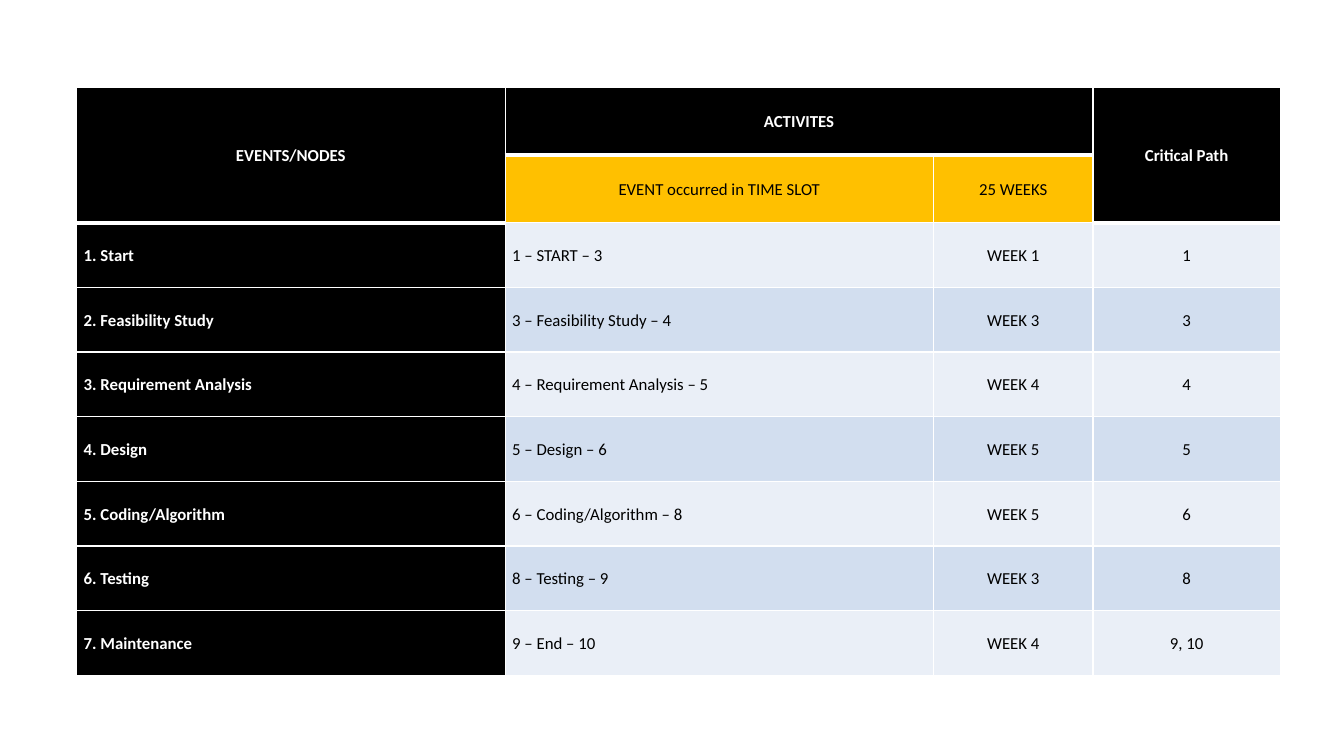
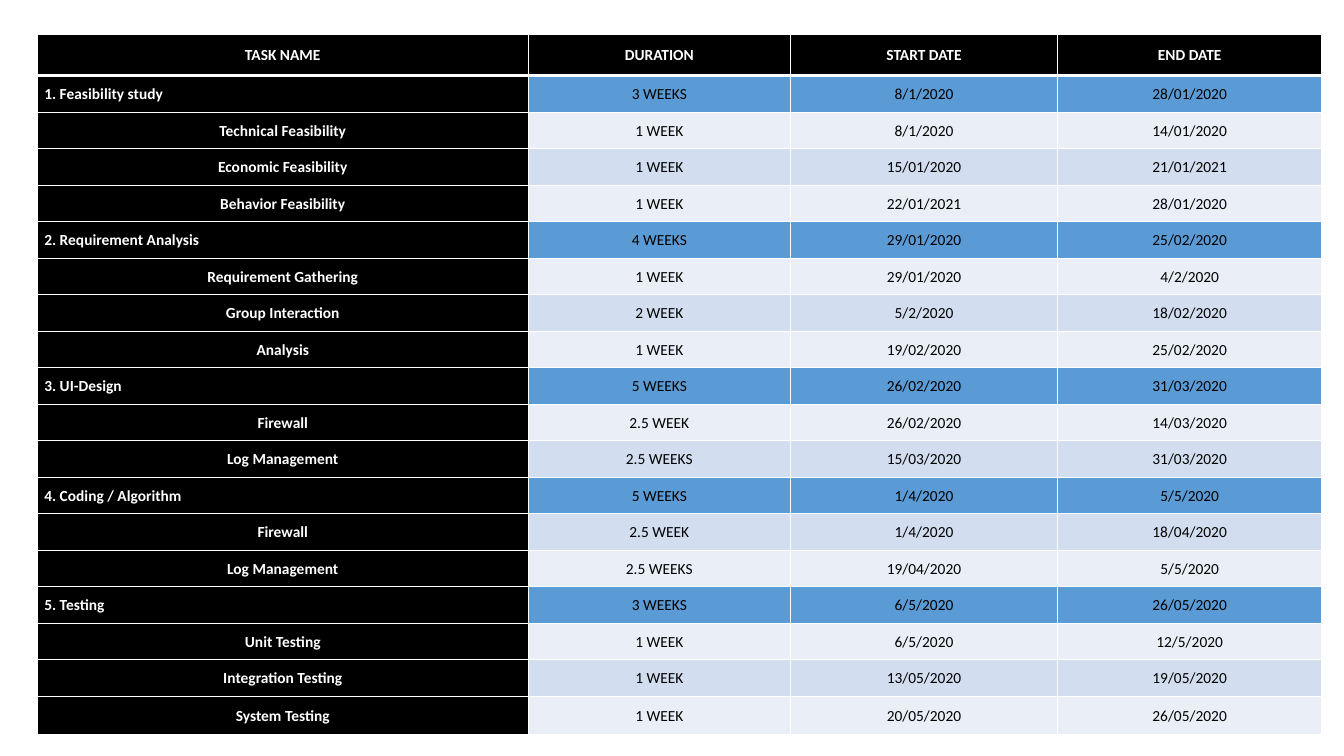
from lxml import etree
from pptx import Presentation
from pptx import util as u
from pptx.dml.color import RGBColor
from pptx.enum import text
from pptx.oxml import ns

PX = 9144  # 100 px to the inch
FONT = "Calibri"
COLORS = {
    "white": "FFFFFF",
    "black": "000000",
    "slot": "FFC000",
    "phase": "5B9BD5",
    "light": "EAEFF7",
    "dark": "D2DEEF",
}


def set_borders(cell, top, bottom):
    """Draw white cell borders; top and bottom are widths in points."""
    props = cell._tc.get_or_add_tcPr()
    for side, width in (("L", 1), ("R", 1), ("T", top), ("B", bottom)):
        line = etree.SubElement(props, ns.qn(f"a:ln{side}"), w=str(u.Pt(width)))
        fill = etree.SubElement(line, ns.qn("a:solidFill"))
        etree.SubElement(fill, ns.qn("a:srgbClr"), val=COLORS["white"])


def add_schedule(page, rows, left, top, widths, heights, size, head_rows=1, merges=()):
    frame = page.shapes.add_table(
        len(rows), len(widths), left * PX, top * PX,
        sum(widths) * PX, round(sum(heights) * PX))
    table = frame.table
    table.first_row = table.horz_banding = False
    for column, width in zip(table.columns, widths):
        column.width = width * PX
    for row, height in zip(table.rows, heights):
        row.height = round(height * PX)

    for r, values in enumerate(rows):
        is_phase = head_rows == 1 and ". " in values[0]
        for c, value in enumerate(values):
            is_slot = 0 < r < head_rows and 0 < c < len(widths) - 1
            is_heading = r < head_rows and not is_slot
            below_heading = r == 1 if head_rows == 1 or 0 < c < len(widths) - 1 else r == head_rows
            on_black = is_heading or c == 0
            if on_black:
                fill = "black"
            elif is_slot:
                fill = "slot"
            elif is_phase:
                fill = "phase"
            else:
                fill = "dark" if r % 2 else "light"

            cell = table.cell(r, c)
            set_borders(cell, 3 if below_heading else 1, 3 if is_heading else 1)
            cell.fill.solid()
            cell.fill.fore_color.rgb = RGBColor.from_string(COLORS[fill])
            cell.vertical_anchor = text.MSO_ANCHOR.MIDDLE
            cell.margin_left = cell.margin_right = 7 * PX
            cell.margin_top = cell.margin_bottom = 0
            cell.text_frame.text = value
            para = cell.text_frame.paragraphs[0]
            para.line_spacing = 1.07
            is_item = ". " in value or " – " in value
            para.alignment = text.PP_ALIGN.LEFT if is_item else text.PP_ALIGN.CENTER
            for span in para.runs:
                span.font.name = FONT
                span.font.size = u.Pt(size)
                span.font.bold = on_black
                span.font.color.rgb = RGBColor.from_string(
                    COLORS["white" if on_black else "black"])

    for first, last in merges:
        table.cell(*first).merge(table.cell(*last))


deck = Presentation()
deck.slide_width = u.Inches(13.33)
deck.slide_height = u.Inches(7.5)
blank = deck.slide_layouts[6]

EVENTS = [
    ("EVENTS/NODES", "ACTIVITES", "", "Critical Path"),
    ("", "EVENT occurred in TIME SLOT", "25 WEEKS", ""),
    ("1. Start", "1 – START – 3", "WEEK 1", "1"),
    ("2. Feasibility Study", "3 – Feasibility Study – 4", "WEEK 3", "3"),
    ("3. Requirement Analysis", "4 – Requirement Analysis – 5", "WEEK 4", "4"),
    ("4. Design", "5 – Design – 6", "WEEK 5", "5"),
    ("5. Coding/Algorithm", "6 – Coding/Algorithm – 8", "WEEK 5", "6"),
    ("6. Testing", "8 – Testing – 9", "WEEK 3", "8"),
    ("7. Maintenance", "9 – End – 10", "WEEK 4", "9, 10"),
]
add_schedule(
    deck.slides.add_slide(blank), EVENTS, 76, 87,
    widths=[425, 425, 158, 186], heights=[67] * 2 + [449 / 7] * 7, size=12, head_rows=2,
    merges=[((0, 0), (1, 0)), ((0, 1), (0, 2)), ((0, 3), (1, 3))])

TASKS = [
    ("TASK NAME", "DURATION", "START DATE", "END DATE"),
    ("1. Feasibility study", "3 WEEKS", "8/1/2020", "28/01/2020"),
    ("Technical Feasibility", "1 WEEK", "8/1/2020", "14/01/2020"),
    ("Economic Feasibility", "1 WEEK", "15/01/2020", "21/01/2021"),
    ("Behavior Feasibility", "1 WEEK", "22/01/2021", "28/01/2020"),
    ("2. Requirement Analysis", "4 WEEKS", "29/01/2020", "25/02/2020"),
    ("Requirement Gathering", "1 WEEK", "29/01/2020", "4/2/2020"),
    ("Group Interaction", "2 WEEK", "5/2/2020", "18/02/2020"),
    ("Analysis", "1 WEEK", "19/02/2020", "25/02/2020"),
    ("3. UI-Design", "5 WEEKS", "26/02/2020", "31/03/2020"),
    ("Firewall", "2.5 WEEK", "26/02/2020", "14/03/2020"),
    ("Log Management", "2.5 WEEKS", "15/03/2020", "31/03/2020"),
    ("4. Coding / Algorithm", "5 WEEKS", "1/4/2020", "5/5/2020"),
    ("Firewall", "2.5 WEEK", "1/4/2020", "18/04/2020"),
    ("Log Management", "2.5 WEEKS", "19/04/2020", "5/5/2020"),
    ("5. Testing", "3 WEEKS", "6/5/2020", "26/05/2020"),
    ("Unit Testing", "1 WEEK", "6/5/2020", "12/5/2020"),
    ("Integration Testing", "1 WEEK", "13/05/2020", "19/05/2020"),
    ("System Testing", "1 WEEK", "20/05/2020", "26/05/2020"),
]
add_schedule(
    deck.slides.add_slide(blank), TASKS, 37, 34,
    widths=[487, 260, 265, 262], heights=[41] + [616 / 17] * 17 + [38], size=11)

deck.save("out.pptx")
